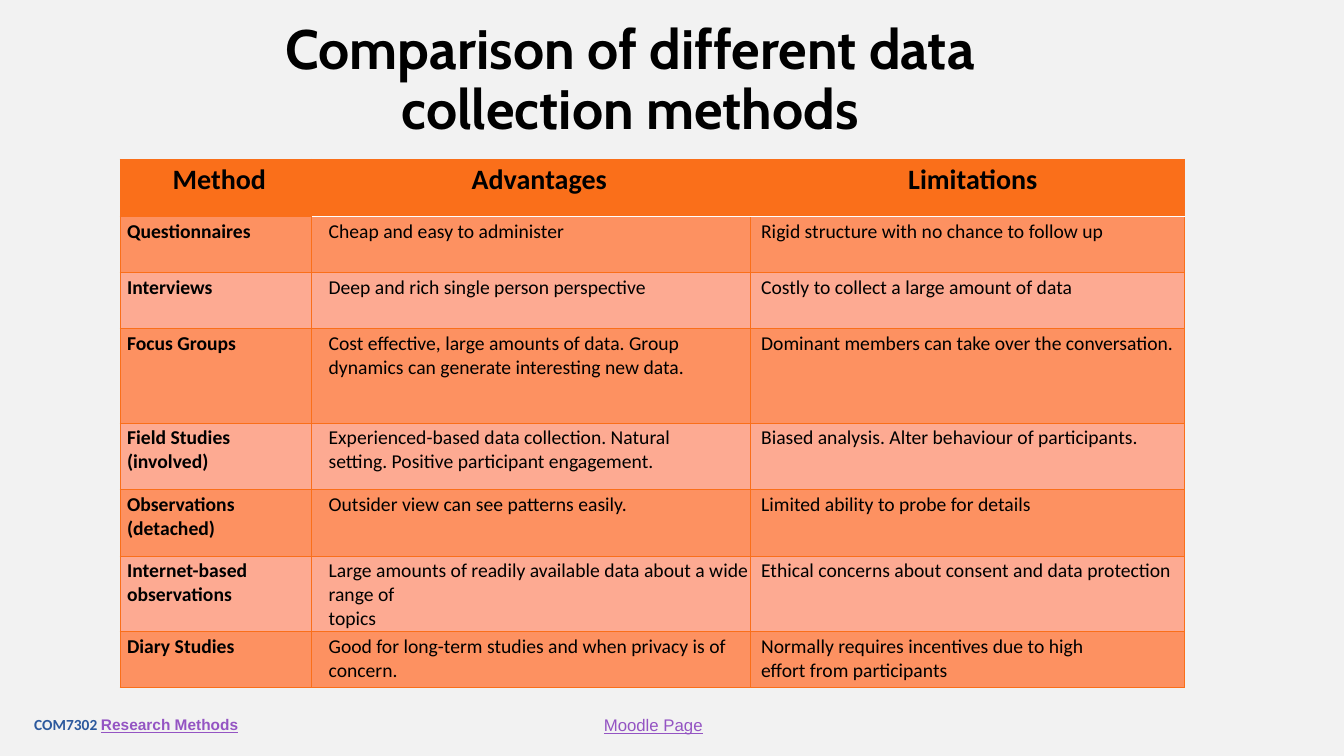
from pptx import Presentation, util as u
from pptx.dml.color import RGBColor
from pptx.enum import text as t
from pptx.oxml.ns import qn
from lxml import etree

ORANGE, DARK, LIGHT, WHITE = "FA6F1A", "FD9161", "FDAA92", "FFFFFF"
BLACK, BLUE, PURPLE = "000000", "2C599D", "9454C3"
CENTER = t.PP_ALIGN.CENTER
MIDDLE = t.MSO_ANCHOR.MIDDLE

HEADS = ["Method", "Advantages", "Limitations"]
METHODS = [
    ["Questionnaires", "Cheap and easy to administer",
     "Rigid structure with no chance to follow up"],
    ["Interviews", "Deep and rich single person perspective",
     "Costly to collect a large amount of data"],
    ["Focus Groups",
     "Cost effective, large amounts of data. Group dynamics can generate "
     "interesting new data.",
     "Dominant members can take over the conversation."],
    ["Field Studies (involved)",
     "Experienced-based data collection. Natural setting. "
     "Positive participant engagement.",
     "Biased analysis. Alter behaviour of participants."],
    ["Observations (detached)", "Outsider view can see patterns easily.",
     "Limited ability to probe for details"],
    ["Internet-based\nobservations",
     "Large amounts of readily available data about a wide range of\ntopics",
     "Ethical concerns about consent and data protection"],
    ["Diary Studies",
     "Good for long-term studies and when privacy is of concern.",
     "Normally requires incentives due to high effort from participants"],
]
COLS = [14.25, 32.63, 32.33]
ROWS = [7.6, 7.4, 7.4, 12.5, 8.8, 8.8, 10, 7.4]
INDENTS = [0.07, 0.17, 0.11]
RIGHT = {(4, 1): 0.5, (7, 2): 0.75}  # right insets by row and column


def rgb(code):
    return RGBColor.from_string(code)


class Deck:
    """Slide on a grid of 100 columns by 100 rows."""

    def __init__(self, wide, high):
        self.prs = Presentation()
        self.prs.slide_width = u.Inches(wide)
        self.prs.slide_height = u.Inches(high)
        self.slide = self.prs.slides.add_slide(self.prs.slide_layouts[5])
        self.base = dict(name="Calibri", size=14, bold=False, color=BLACK)

    def x(self, cols):
        return round(self.prs.slide_width * cols / 100)

    def y(self, rows):
        return round(self.prs.slide_height * rows / 100)

    def box(self, left, top, wide, high):
        return self.x(left), self.y(top), self.x(wide), self.y(high)

    def back(self, color):
        fill = self.slide.background.fill
        fill.solid()
        fill.fore_color.rgb = rgb(color)

    def font(self, font, **form):
        for key, val in {**self.base, **form}.items():
            if key == "color":
                font.color.rgb = rgb(val)
            else:
                setattr(font, key, u.Pt(val) if key == "size" else val)

    def title(self, words, place, **form):
        shape = self.slide.shapes.title
        shape.left, shape.top, shape.width, shape.height = self.box(*place)
        frame = shape.text_frame
        frame.text = words
        frame.word_wrap = True
        frame.auto_size = t.MSO_AUTO_SIZE.NONE
        frame.vertical_anchor = MIDDLE
        para = frame.paragraphs[0]
        para.alignment, para.line_spacing = CENTER, 0.9
        self.font(para.runs[0].font, **form)

    def label(self, place, *runs):
        """Add a text box; each run is a pair of words and format."""
        frame = self.slide.shapes.add_textbox(*self.box(*place)).text_frame
        frame.word_wrap = True
        frame.vertical_anchor = MIDDLE
        for words, form in runs:
            run = frame.paragraphs[0].add_run()
            run.text = words
            self.font(run.font, **form)

    def edge(self, cell, side, color, width):
        line = etree.SubElement(cell._tc.get_or_add_tcPr(), qn("a:ln" + side),
                                w=str(u.Pt(width)))
        fill = etree.SubElement(line, qn("a:solidFill"))
        etree.SubElement(fill, qn("a:srgbClr"), val=color)

    def cell(self, cell, words, row, col):
        head = row == 0
        cell.text = words
        cell.margin_left = u.Inches(INDENTS[col])
        cell.margin_right = u.Inches(RIGHT.get((row, col), 0))
        cell.margin_top, cell.margin_bottom = u.Inches(0.03), 0
        for para in cell.text_frame.paragraphs:
            if head:
                para.alignment = CENTER
            self.font(para.runs[0].font, size=20 if head else 14,
                      bold=head or col == 0)
        edges = {side: (ORANGE, 0.5) for side in "LRTB"}
        if row and col < 2:
            edges["L" if col else "R"] = ORANGE, 1
        if col and row < 2:
            edges["B" if head else "T"] = WHITE, 1
        for side, (color, width) in edges.items():
            self.edge(cell, side, color, width)
        cell.fill.solid()
        cell.fill.fore_color.rgb = rgb(
            ORANGE if head else DARK if row % 2 else LIGHT)

    def table(self, left, top, data):
        place = self.box(left, top, sum(COLS), sum(ROWS))
        grid = self.slide.shapes.add_table(len(ROWS), len(COLS), *place).table
        for col, wide in zip(grid.columns, COLS):
            col.width = self.x(wide)
        for row, high in zip(grid.rows, ROWS):
            row.height = self.y(high)
        for r, line in enumerate(data):
            for c, words in enumerate(line):
                self.cell(grid.cell(r, c), words, r, c)


def main():
    deck = Deck(13.33, 7.5)
    deck.back("F2F2F2")
    deck.title("Comparison of different data collection methods",
               (18.83, 2.67, 56.12, 16.13), name="Cabin", size=39.6, bold=True)
    deck.table(8.93, 21.07, [HEADS] + METHODS)
    link = dict(name="Arial", color=PURPLE, underline=True)
    deck.label((1.8, 93.2, 33.76, 5.33),
               ("COM7302 ", dict(size=11, bold=True, color=BLUE)),
               ("Research Methods", dict(link, size=11, bold=True)))
    deck.label((44.19, 93.87, 18.75, 4), ("Moodle Page", dict(link, size=12)))
    deck.prs.save("out.pptx")


if __name__ == "__main__":
    main()
